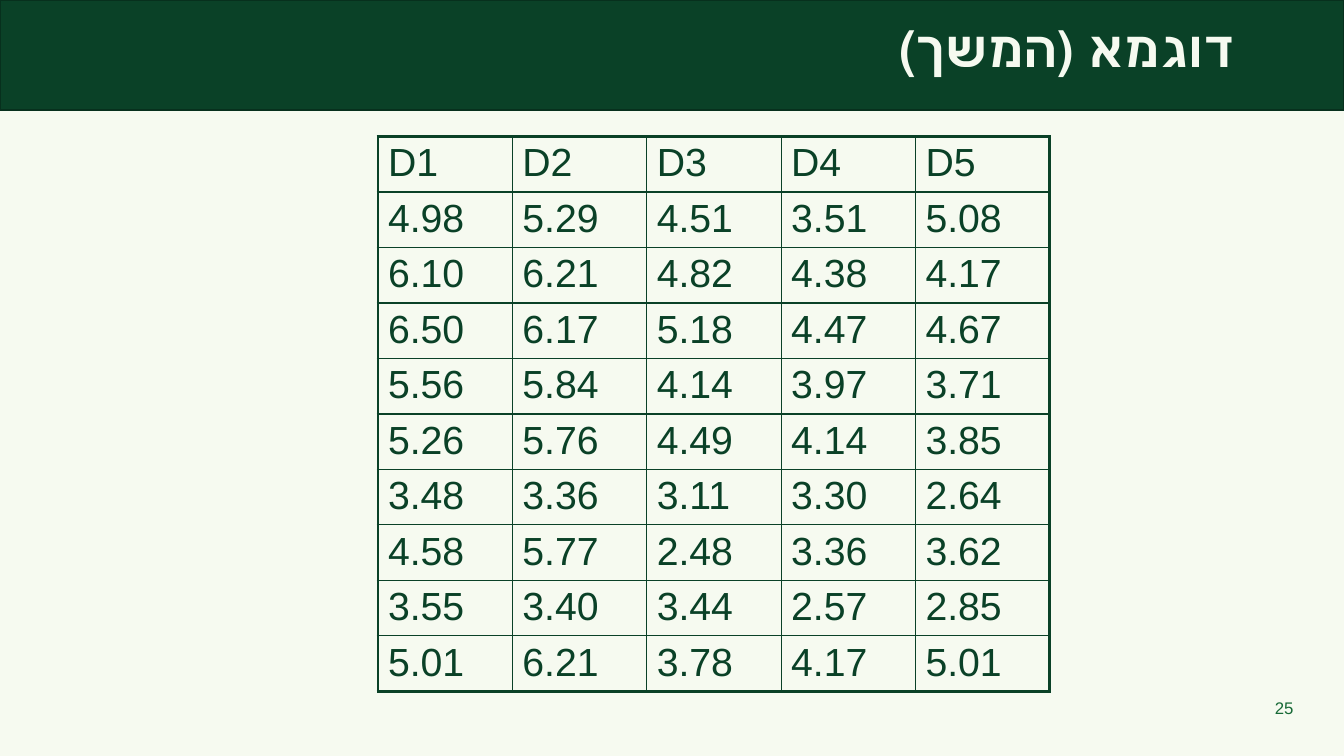
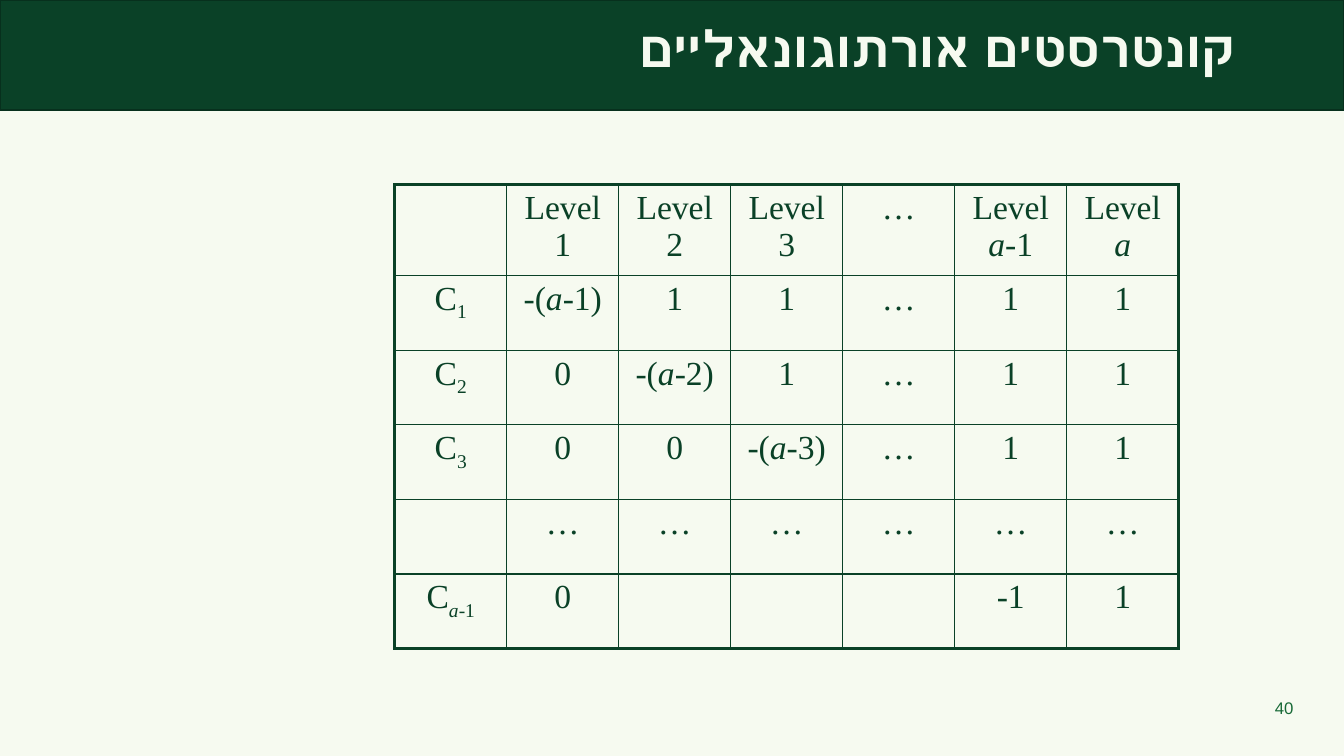
import pptx
import pptx.dml.color
import pptx.enum.shapes
import pptx.enum.text
import pptx.oxml.ns
import pptx.util
import lxml.etree

Pt = pptx.util.Pt
ALIGN = pptx.enum.text.PP_ALIGN
COLORS = {
    "paper": "F6FAF0",
    "forest": "0A4127",
    "band_edge": "07301D",
    "page_number": "176936",
}
SLIDE_WIDTH, SLIDE_HEIGHT = 960, 540
BAND_TOP, BAND_HEIGHT = 0.5, 78
SANS, SERIF = "Arial", "Times New Roman"
OUTER_LINE, INNER_LINE = 2.25, 1

MEASUREMENTS = [
    ["D1", "D2", "D3", "D4", "D5"],
    ["4.98", "5.29", "4.51", "3.51", "5.08"],
    ["6.10", "6.21", "4.82", "4.38", "4.17"],
    ["6.50", "6.17", "5.18", "4.47", "4.67"],
    ["5.56", "5.84", "4.14", "3.97", "3.71"],
    ["5.26", "5.76", "4.49", "4.14", "3.85"],
    ["3.48", "3.36", "3.11", "3.30", "2.64"],
    ["4.58", "5.77", "2.48", "3.36", "3.62"],
    ["3.55", "3.40", "3.44", "2.57", "2.85"],
    ["5.01", "6.21", "3.78", "4.17", "5.01"],
]


def rgb(name):
    return pptx.dml.color.RGBColor.from_string(COLORS[name])


def plain(text):
    return [(text, "")]


def level(number):
    return plain(f"Level {number}")


def contrast(number):
    return [("C", ""), (str(number), "sub")]


def weight(number):
    return [("-(", ""), ("a", "italic"), (f"-{number})", "")]


def contrast_rows():
    zero, one, dots = plain("0"), plain("1"), plain("…")
    last_level = [("Level ", ""), ("a", "italic")]
    rows = [[[], level(1), level(2), level(3), dots,
             last_level + plain("-1"), last_level]]
    for number in (1, 2, 3):
        rows.append([contrast(number)] + [zero] * (number - 1) + [weight(number)]
                    + [one] * (3 - number) + [dots, one, one])
    rows.append([[]] + [dots] * 6)
    last_contrast = [("C", ""), ("a", "italic sub"), ("-1", "sub")]
    rows.append([last_contrast, zero, [], [], [], plain("-1"), one])
    return rows


def set_font(font, name, size, color, bold=False):
    font.name = name
    font.size = Pt(size)
    font.bold = bold
    font.color.rgb = rgb(color)


def add_layout_band(layout, slide):
    band = slide.shapes.add_shape(
        pptx.enum.shapes.MSO_SHAPE.RECTANGLE,
        0, Pt(BAND_TOP), Pt(SLIDE_WIDTH), Pt(BAND_HEIGHT))
    band.shadow.inherit = False
    band.fill.solid()
    band.fill.fore_color.rgb = rgb("forest")
    band.line.color.rgb = rgb("band_edge")
    band.line.width = Pt(1)
    layout.shapes.element.insert(2, band.element)


def set_title(slide, text):
    title = slide.shapes.title
    title.left, title.top = Pt(309.6), Pt(BAND_TOP)
    title.width, title.height = Pt(580), Pt(BAND_HEIGHT)
    frame = title.text_frame
    frame.text = text
    frame.word_wrap = True
    frame.auto_size = pptx.enum.text.MSO_AUTO_SIZE.NONE
    frame.vertical_anchor = pptx.enum.text.MSO_ANCHOR.MIDDLE
    paragraph = frame.paragraphs[0]
    paragraph.alignment = ALIGN.RIGHT
    paragraph.line_spacing = 0.7
    paragraph._p.get_or_add_pPr().set("rtl", "1")
    set_font(paragraph.font, SANS, 36, "paper", bold=True)


def add_page_number(slide, number):
    box = slide.shapes.add_textbox(Pt(893.5), Pt(491), Pt(37.5), Pt(29))
    frame = box.text_frame
    frame.text = str(number)
    frame.word_wrap = True
    frame.vertical_anchor = pptx.enum.text.MSO_ANCHOR.MIDDLE
    paragraph = frame.paragraphs[0]
    paragraph.alignment = ALIGN.RIGHT
    set_font(paragraph.font, SANS, 12, "page_number")


def set_borders(cell, widths):
    properties = cell._tc.get_or_add_tcPr()
    for index, (side, width) in enumerate(widths.items()):
        line = lxml.etree.Element(pptx.oxml.ns.qn(f"a:ln{side}"), w=str(Pt(width)))
        fill = lxml.etree.SubElement(line, pptx.oxml.ns.qn("a:solidFill"))
        lxml.etree.SubElement(fill, pptx.oxml.ns.qn("a:srgbClr"), val=COLORS["forest"])
        properties.insert(index, line)


def fill_cell(cell, runs, font_name, size, alignment):
    paragraph = cell.text_frame.paragraphs[0]
    paragraph.alignment = alignment
    set_font(paragraph.font, font_name, size, "forest")
    for text, style in runs:
        run = paragraph.add_run()
        run.text = text
        set_font(run.font, font_name, size, "forest")
        if "italic" in style:
            run.font.italic = True
        if "sub" in style:
            run.font._element.set("baseline", "-25000")


def add_grid(slide, rows, left, top, column_width, row_heights,
             font_name, size, alignment, bottom_margin=3.6):
    row_count, column_count = len(rows), len(rows[0])
    table = slide.shapes.add_table(
        row_count, column_count, Pt(left), Pt(top),
        Pt(column_width * column_count), Pt(sum(row_heights))).table
    table.first_row = False
    table.horz_banding = False
    for column in table.columns:
        column.width = Pt(column_width)
    for row_index, row in enumerate(rows):
        table.rows[row_index].height = Pt(row_heights[row_index])
        for column_index, runs in enumerate(row):
            cell = table.cell(row_index, column_index)
            cell.margin_bottom = Pt(bottom_margin)
            cell.fill.background()
            fill_cell(cell, runs, font_name, size, alignment)
            on_edge = {
                "L": column_index == 0,
                "R": column_index == column_count - 1,
                "T": row_index == 0,
                "B": row_index == row_count - 1,
            }
            set_borders(cell, {side: OUTER_LINE if edge else INNER_LINE
                               for side, edge in on_edge.items()})


def add_content_slide(presentation, layout, title, number):
    slide = presentation.slides.add_slide(layout)
    set_title(slide, title)
    add_page_number(slide, number)
    return slide


def main():
    presentation = pptx.Presentation()
    presentation.slide_width = Pt(SLIDE_WIDTH)
    presentation.slide_height = Pt(SLIDE_HEIGHT)
    background = presentation.slide_master.background.fill
    background.solid()
    background.fore_color.rgb = rgb("paper")
    layout = presentation.slide_layouts.get_by_name("Title Only")

    slide = add_content_slide(presentation, layout, "דוגמא (המשך)", 25)
    add_layout_band(layout, slide)
    measurement_rows = [[plain(value) for value in row] for row in MEASUREMENTS]
    add_grid(slide, measurement_rows, 270, 97.5, 96, [38.4] * 10,
             SANS, 28, ALIGN.LEFT, bottom_margin=2.4)

    slide = add_content_slide(presentation, layout, "קונטרסטים אורתוגונאליים", 40)
    add_grid(slide, contrast_rows(), 282, 131.8, 80, [65] + [53.3] * 5,
             SERIF, 24, ALIGN.CENTER)

    presentation.save("out.pptx")


if __name__ == "__main__":
    main()
